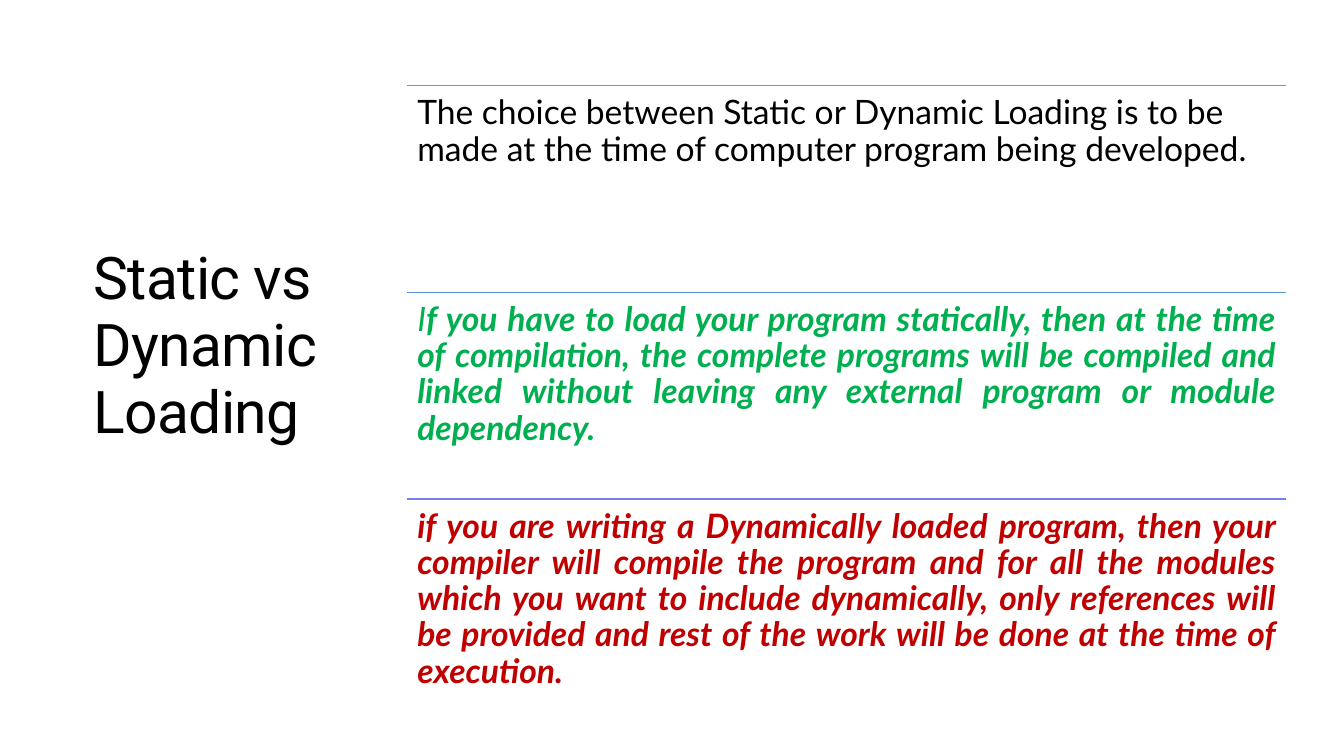
from pptx import Presentation
from pptx.dml.color import RGBColor
from pptx.enum import shapes, text
from pptx.oxml.ns import qn
from pptx.util import Inches, Pt
from lxml import etree

TITLE = "Static vs Dynamic Loading"

# Each point: rule colour, text colour, alignment, runs of (wording, bold, italic)
POINTS = [
    ("42B2BC", "000000", text.PP_ALIGN.LEFT, [
        ("The choice between Static or Dynamic Loading is to be made at the time "
         "of computer program being developed.", False, False)]),
    ("5997D4", "00B050", text.PP_ALIGN.JUSTIFY, [
        ("I", False, True),
        ("f you have to load your program statically, then at the time of "
         "compilation, the complete programs will be compiled and linked without "
         "leaving any external program or module dependency.", True, True)]),
    ("757FE7", "C00000", text.PP_ALIGN.JUSTIFY, [
        ("if you are writing a Dynamically loaded program, then your compiler will "
         "compile the program and for all the modules which you want to include "
         "dynamically, only references will be provided and rest of the work will "
         "be done at the time of execution.", True, True)]),
]

THEME = {
    "background": "FFFFFF", "title_color": "000000",
    "title_font": "Roboto", "title_size": 42, "title_spacing": -0.5,
    "body_font": "Lato", "body_size": 24, "rule_width": 1,
}

TOP = 0.85
POINT_LEFT, POINT_WIDTH, POINT_HEIGHT = 4.04, 8.71, 2.05
TITLE_LEFT, TITLE_WIDTH, TITLE_HEIGHT = 0.83, 4.27, 5.17
INSET = 0.1


def rgb(value):
    return RGBColor.from_string(value)


def add_text_box(page, left, top, width, height, anchor):
    box = page.shapes.add_textbox(*map(Inches, (left, top, width, height)))
    frame = box.text_frame
    frame.word_wrap = True
    frame.vertical_anchor = anchor
    return frame


def style(para, font, size, color, line_spacing):
    para.line_spacing = line_spacing
    para.font.name = font
    para.font.size = Pt(size)
    para.font.color.rgb = rgb(color)


def add_title(page):
    frame = add_text_box(page, TITLE_LEFT, TOP, TITLE_WIDTH, TITLE_HEIGHT,
                         text.MSO_ANCHOR.MIDDLE)
    para = frame.paragraphs[0]
    span = para.add_run()
    span.text = TITLE
    span.font._element.set("spc", str(int(THEME["title_spacing"] * 100)))
    style(para, THEME["title_font"], THEME["title_size"], THEME["title_color"], 0.95)


def add_rule(page, top, color):
    left, right, y = map(Inches, (POINT_LEFT, POINT_LEFT + POINT_WIDTH, top))
    rule = page.shapes.add_connector(shapes.MSO_CONNECTOR.STRAIGHT, left, y, right, y)
    rule.line.color.rgb = rgb(color)
    rule.line.width = Pt(THEME["rule_width"])
    etree.SubElement(rule._element.spPr, qn("a:effectLst"))


def add_point(page, top, color, alignment, runs):
    frame = add_text_box(page, POINT_LEFT, top, POINT_WIDTH, POINT_HEIGHT,
                         text.MSO_ANCHOR.TOP)
    frame.margin_left = frame.margin_right = Inches(INSET)
    frame.margin_top = frame.margin_bottom = Inches(INSET)
    para = frame.paragraphs[0]
    para.alignment = alignment
    for wording, bold, italic in runs:
        span = para.add_run()
        span.text = wording
        span.font.bold = bold
        span.font.italic = italic
    style(para, THEME["body_font"], THEME["body_size"], color, 0.9)


def main():
    deck = Presentation()
    deck.slide_width, deck.slide_height = Inches(13.33), Inches(7.5)
    page = deck.slides.add_slide(deck.slide_layouts[6])
    page.background.fill.solid()
    page.background.fill.fore_color.rgb = rgb(THEME["background"])

    add_title(page)
    for index, (rule_color, text_color, alignment, runs) in enumerate(POINTS):
        top = TOP + index * POINT_HEIGHT
        add_rule(page, top, rule_color)
        add_point(page, top, text_color, alignment, runs)
    deck.save("out.pptx")


if __name__ == "__main__":
    main()
